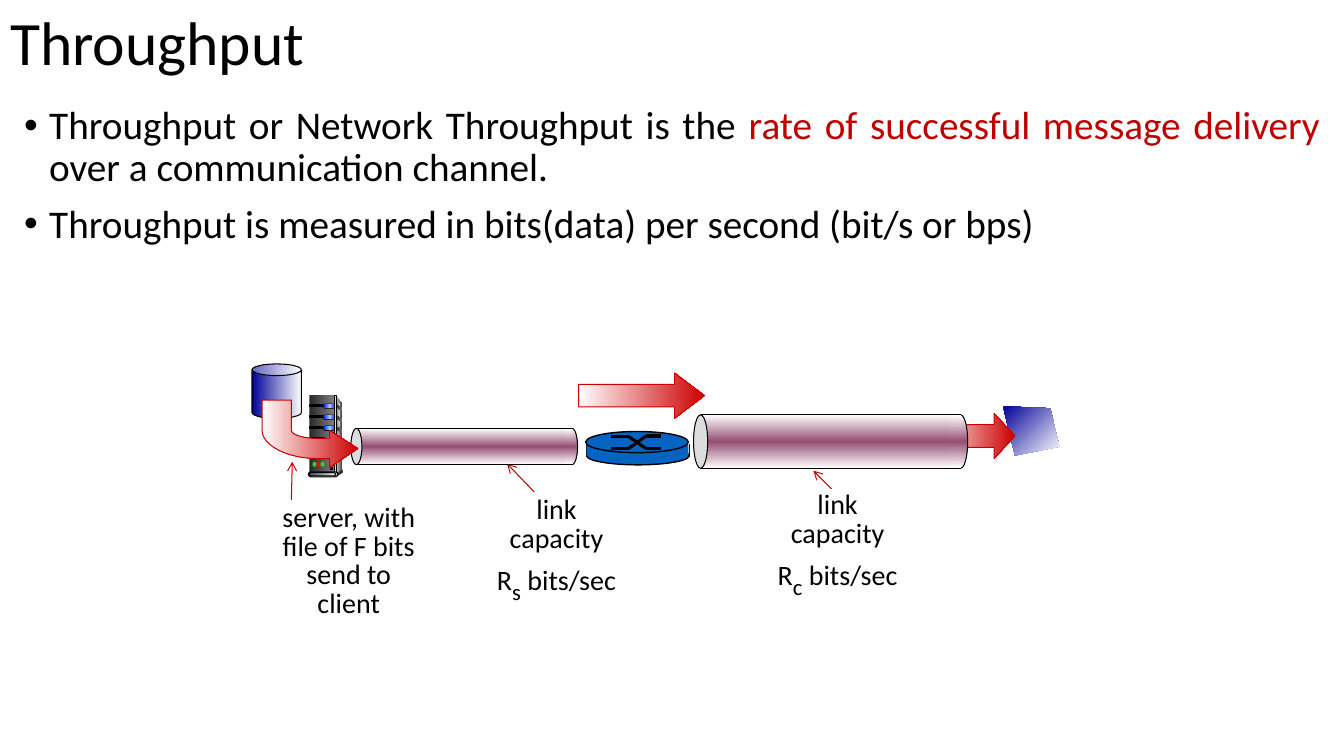
from copy import deepcopy
from itertools import pairwise

from lxml.etree import SubElement
from pptx import Presentation
from pptx.dml.color import RGBColor
from pptx.enum.shapes import MSO_CONNECTOR, MSO_SHAPE
from pptx.enum.text import MSO_ANCHOR, MSO_AUTO_SIZE, PP_ALIGN
from pptx.oxml.ns import qn
from pptx.util import Pt

FONT = "Calibri"
BLACK, RED, ROUTER_BLUE = "000000", "CC0000", "0563C1"
RED_FADE = ["FFFFFF", RED]
BLUE_FADE = ["000099", "FFFFFF"]
STEEL = ["292929", "808080"]
EDGE = ["333333", "DDDDDD", "333333"]
LAMP = ["0000FF", "99CCFF", "0000FF"]
PIPE = ["FFFFFF", "954F72", "FFFFFF"]

TITLE = "Throughput"
BULLETS = [
    [("Throughput or Network Throughput is the ", BLACK),
     ("rate of successful message delivery ", "C00000"),
     ("over a communication channel.", BLACK)],
    [("Throughput is measured in bits(data) per second (bit/s or bps)", BLACK)],
]
LABELS = [
    ((186.5, 357.1, 125.3, 69.1), ["server, with", "file of F bits", "send to client"], None),
    ((340.6, 351.4, 113.8, 75), ["link capacity"], "s"),
    ((541.4, 347.8, 113.8, 75), ["link capacity"], "c"),
]
POINTERS = [
    ((381.6, 351.4), (362.2, 331.2)),
    ((594, 349.2), (581, 336.2)),
    ((208.1, 357.1), (208.8, 329.8)),
]
PIPES = [(250.6, 306, 158, 25.9, 7.9), (495.4, 296.3, 190.8, 38.2, 10.1)]
ROUTER_CROSS = [
    [(436.3, 311.8), (449, 311.8), (461.5, 320.4), (472.3, 320.4)],
    [(436.3, 320.4), (449, 320.4), (461.5, 311.4), (472.3, 311.4)],
]
SERVER_SIDE = [(240.5, 283), (244.8, 289.4), (244.8, 335.5), (239.8, 338.4)]
SERVER_EDGE = [(240.5, 285.8), (243.4, 290.2), (241.4, 314), (240.5, 337)]
SERVER_FOOT = [(240.5, 337.7), (240.5, 340.6), (244.8, 337.7), (244.8, 335.5)]
SCREEN = [(716.4, 290.2), (750.2, 291.6), (756.7, 319), (725, 325.4)]

presentation = Presentation()
presentation.slide_width, presentation.slide_height = Pt(960), Pt(540)
slide = presentation.slides.add_slide(presentation.slide_layouts[5])
shapes = slide.shapes


def color(hex_string):
    return RGBColor.from_string(hex_string)


def paint(shape, fill, line=None, angle=0, width=0.75):
    shape.shadow.inherit = False
    if isinstance(fill, list):
        shape.fill.gradient()
        shape.fill.gradient_angle = -angle % 360
        stop_list = shape._element.spPr.find(".//" + qn("a:gsLst"))
        while len(stop_list) < len(fill):
            stop_list.append(deepcopy(stop_list[-1]))
        for index, stop in enumerate(shape.fill.gradient_stops):
            stop.color.rgb = color(fill[index])
            stop.position = index / (len(fill) - 1)
    else:
        shape.fill.solid()
        shape.fill.fore_color.rgb = color(fill)
    if line:
        shape.line.color.rgb = color(line)
        shape.line.width = Pt(width)
    else:
        shape.line.fill.background()


def add_form(kind, box, fill, line=None, angle=0, width=0.75, adjustments=()):
    shape = shapes.add_shape(kind, *[Pt(value) for value in box])
    for index, value in enumerate(adjustments):
        shape.adjustments[index] = value
    paint(shape, fill, line, angle, width)


def add_outline(points, fill, line=None, angle=0):
    start, *rest = [(Pt(x), Pt(y)) for x, y in points]
    builder = shapes.build_freeform(*start)
    builder.add_line_segments(rest, close=True)
    paint(builder.convert_to_shape(), fill, line, angle)


def add_line(start, end, line, width, arrow=False):
    ends = [Pt(value) for value in (*start, *end)]
    connector = shapes.add_connector(MSO_CONNECTOR.STRAIGHT, *ends)
    connector.line.color.rgb = color(line)
    connector.line.width = Pt(width)
    if arrow:
        SubElement(connector.line._get_or_add_ln(), qn("a:tailEnd"), type="arrow")
    SubElement(connector._element.spPr, qn("a:effectLst"))


def curve(start, first, second, end, steps=12):
    times = [step / steps for step in range(1, steps + 1)]
    return [tuple((1 - t) ** 3 * a + 3 * (1 - t) ** 2 * t * b + 3 * (1 - t) * t ** 2 * c + t ** 3 * d
                  for a, b, c, d in zip(start, first, second, end)) for t in times]


def format_paragraph(paragraph, size, alignment, spacing):
    paragraph.alignment = alignment
    paragraph.line_spacing = spacing
    paragraph.font.size = Pt(size)
    paragraph.font.name = FONT
    paragraph.font.color.rgb = color(BLACK)


def add_text_frame(box):
    frame = shapes.add_textbox(*[Pt(value) for value in box]).text_frame
    frame.word_wrap = True
    return frame


def add_paragraph(frame, index):
    return frame.add_paragraph() if index else frame.paragraphs[0]


def add_title():
    title = shapes.title
    title.left, title.top, title.width, title.height = Pt(0), Pt(4.3), Pt(960), Pt(56.2)
    title.text_frame.text = TITLE
    title.text_frame.auto_size = MSO_AUTO_SIZE.NONE
    title.text_frame.vertical_anchor = MSO_ANCHOR.MIDDLE
    format_paragraph(title.text_frame.paragraphs[0], 44, PP_ALIGN.LEFT, 0.9)


def add_bullets():
    frame = add_text_frame((10.1, 72, 939.6, 439.9))
    for index, parts in enumerate(BULLETS):
        paragraph = add_paragraph(frame, index)
        properties = paragraph._p.get_or_add_pPr()
        properties.set("marL", str(Pt(18)))
        properties.set("indent", str(Pt(-18)))
        SubElement(properties, qn("a:buFont"), typeface="Arial")
        SubElement(properties, qn("a:buChar"), char="•")
        format_paragraph(paragraph, 28, PP_ALIGN.JUSTIFY, 0.9)
        if index:
            paragraph.space_before = Pt(10)
        for text, run_color in parts:
            run = paragraph.add_run()
            run.text = text
            run.font.color.rgb = color(run_color)


def add_label(box, lines, subscript):
    frame = add_text_frame(box)
    frame.margin_left = frame.margin_right = Pt(10)
    for index, line in enumerate(lines + ["R"] * bool(subscript)):
        paragraph = add_paragraph(frame, index)
        format_paragraph(paragraph, 20, PP_ALIGN.CENTER, 0.85)
        paragraph.add_run().text = line
    if subscript:
        run = paragraph.add_run()
        run.text = subscript
        run.font.size = Pt(28)
        run._r.get_or_add_rPr().set("baseline", "-25000")
        paragraph.add_run().text = " bits/sec"


def add_server():
    add_outline(SERVER_SIDE, ["DDDDDD", "333333"])
    add_form(MSO_SHAPE.RECTANGLE, (221, 282.2, 18, 55.4), STEEL)
    add_outline(SERVER_EDGE, ["808080", "F8F8F8"])
    for slot in range(4):
        top = 288.7 + 7.9 * slot
        add_form(MSO_SHAPE.RECTANGLE, (221.4, top, 10, 1.4), BLACK, BLACK)
        add_form(MSO_SHAPE.ROUNDED_RECTANGLE, (230.4, top - 0.4, 10, 3.6), BLACK, adjustments=[0.5])
        add_form(MSO_SHAPE.ROUNDED_RECTANGLE, (230.8, top, 9.4, 2.7), LAMP, adjustments=[0.5])
        add_outline([(239.9, top), (244.8, top + 2.9), (244.8, top + 4.9), (239.9, top + 2)], STEEL)
    add_form(MSO_SHAPE.RECTANGLE, (239, 282.2, 1.4, 55.4), EDGE, BLACK)
    add_form(MSO_SHAPE.OVAL, (244.1, 335.5, 0.7, 2.2), "333333")
    add_outline(SERVER_FOOT, "333333")
    add_form(MSO_SHAPE.ROUNDED_RECTANGLE, (220.3, 337, 20.9, 3.6), "DDDDDD", BLACK, adjustments=[0.5])
    add_form(MSO_SHAPE.ROUNDED_RECTANGLE, (221, 337.7, 18.7, 2.2), ["44546A", "E7E6E6"], BLACK, adjustments=[0.5])
    for index, light in enumerate(["33CC33", "FF0000", "33CC33"]):
        add_form(MSO_SHAPE.OVAL, (223.2 + 2.9 * index, 329.8, 2.9, 3.6), light)
    add_form(MSO_SHAPE.RECTANGLE, (236.2, 316.8, 1.4, 18.7), "292929", BLACK)


def add_router():
    add_form(MSO_SHAPE.OVAL, (419, 319, 73.4, 13), ROUTER_BLUE, BLACK, width=1)
    for x in (419, 492.4):
        add_line((x, 317.5), (x, 326.2), BLACK, 1)
    add_form(MSO_SHAPE.RECTANGLE, (419, 317.5, 72.7, 7.9), ROUTER_BLUE)
    add_form(MSO_SHAPE.OVAL, (418.3, 308.2, 73.4, 15.1), ROUTER_BLUE, BLACK, width=1)
    for path_points in ROUTER_CROSS:
        for start, end in pairwise(path_points):
            add_line(start, end, BLACK, 2.25)


def add_pipe(left, top, length, height, cap):
    right = left + length
    body_left = left + cap / 2
    mask = cap * 0.65
    add_form(MSO_SHAPE.OVAL, (right - cap / 2, top, cap, height), PIPE, BLACK, 90)
    add_form(MSO_SHAPE.RECTANGLE, (body_left, top, right - body_left, height), PIPE, BLACK, 90)
    add_form(MSO_SHAPE.OVAL, (left, top, cap, height), "DDDDDD", BLACK)
    add_form(MSO_SHAPE.RECTANGLE, (right - mask, top + 0.4, mask + 0.5, height - 0.8), PIPE, angle=90)


def add_bent_arrow():
    outer = curve((226.8, 327.6), (205.2, 327.6), (187.2, 318.2), (187.2, 307.4))
    inner = curve((208.1, 307.4), (208.1, 310.3), (216, 313.2), (226.8, 313.2))
    add_outline([(255.6, 320.4), (235.4, 334.1), (235.4, 327.6), (226.8, 327.6), *outer,
                 (187.2, 285.8), (208.1, 285.8), (208.1, 307.4), *inner,
                 (235.4, 313.2), (235.4, 307.4)], RED_FADE, RED)


add_title()
add_bullets()
add_form(MSO_SHAPE.CAN, (180, 260, 35.3, 38.9), BLUE_FADE, BLACK, adjustments=[0.235])
add_server()
add_outline(SCREEN, BLUE_FADE, angle=45)
for label in LABELS:
    add_label(*label)
for start, end in POINTERS:
    add_line(start, end, RED, 0.75, arrow=True)
add_router()
add_form(MSO_SHAPE.RIGHT_ARROW, (662.4, 295.2, 62.6, 32.4), RED_FADE, RED, adjustments=[0.5, 0.46])
for pipe in PIPES:
    add_pipe(*pipe)
add_form(MSO_SHAPE.RIGHT_ARROW, (413.3, 266.4, 90, 32.4), RED_FADE, RED, adjustments=[0.5, 0.66])
add_bent_arrow()
presentation.save("out.pptx")
